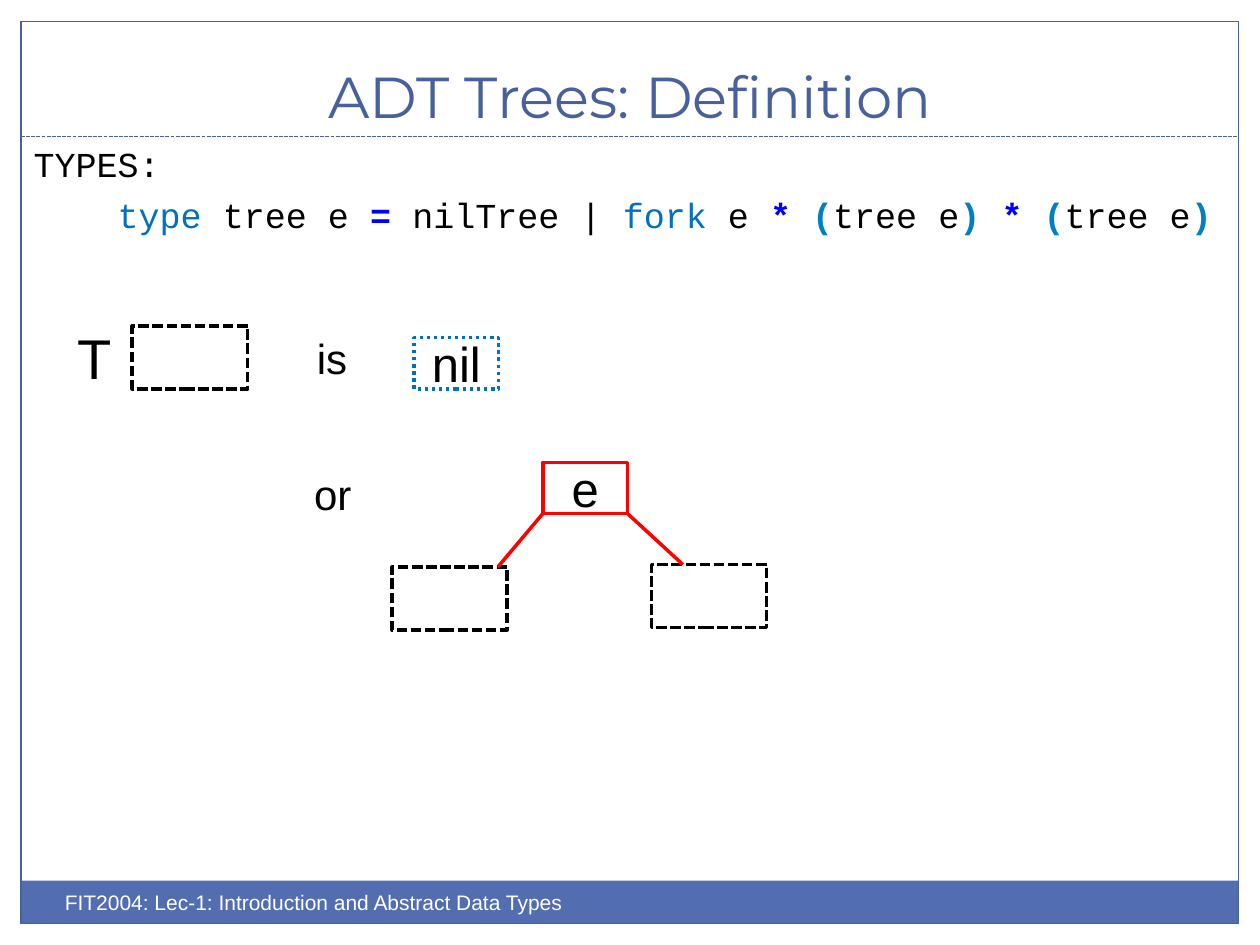
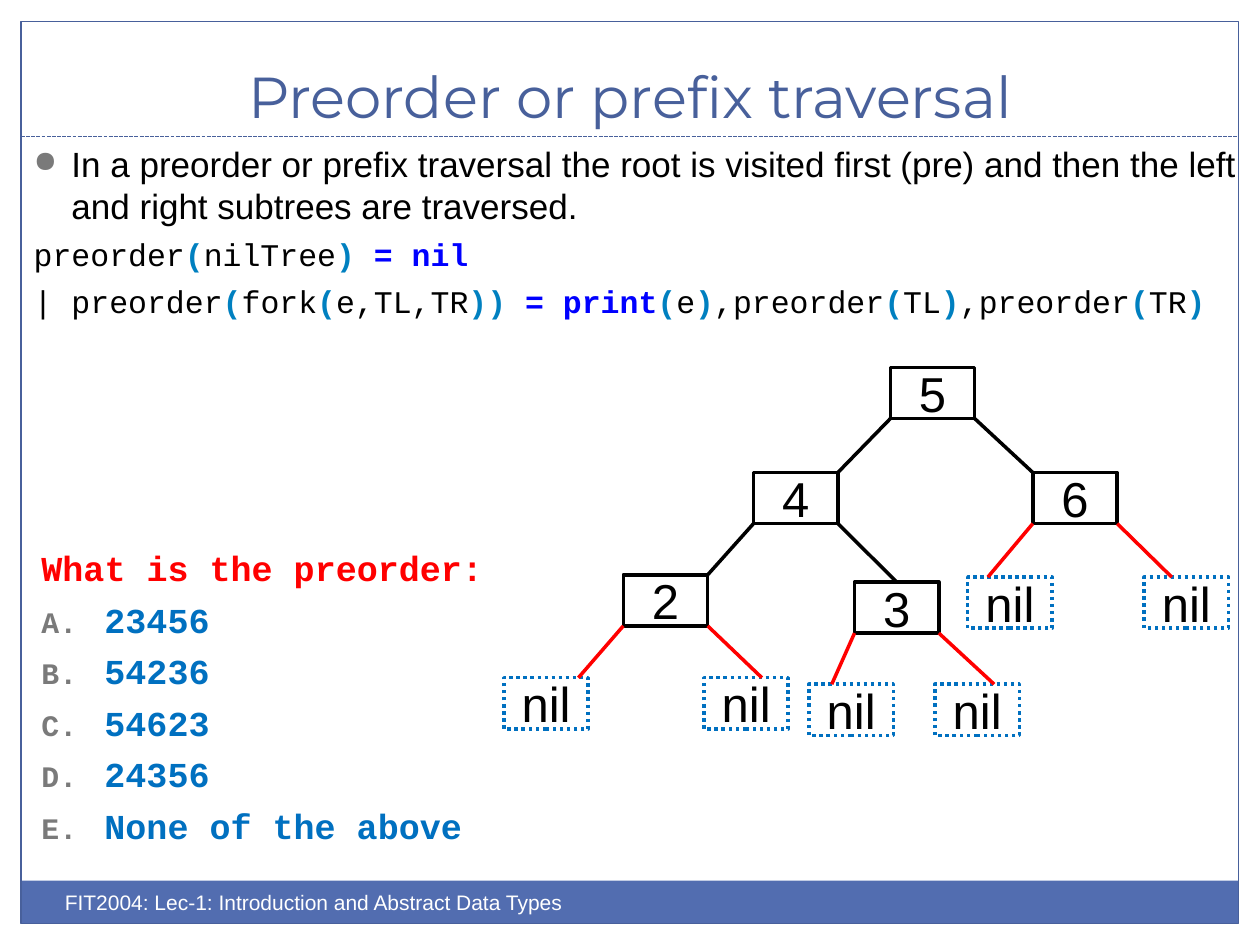
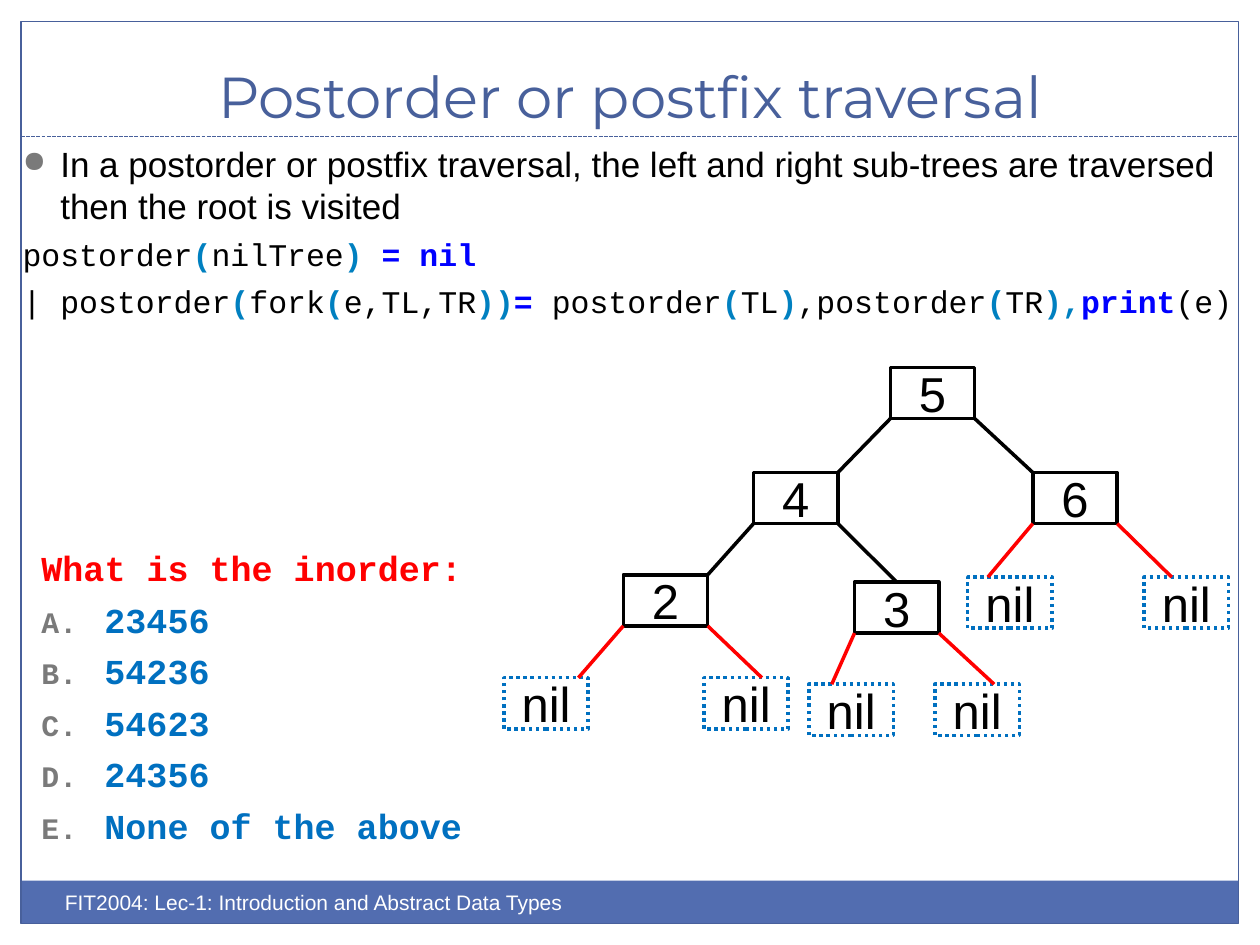
"""Build three lecture slides on tree definitions and traversals."""
import pptx
import pptx.chart.data
import pptx.dml.color
import pptx.enum.dml
import pptx.enum.shapes
import pptx.enum.text
import pptx.oxml.ns
import pptx.util
from lxml import etree

Pt = pptx.util.Pt
DASH = pptx.enum.dml.MSO_LINE
SHAPE = pptx.enum.shapes.MSO_SHAPE
ANCHOR = pptx.enum.text.MSO_ANCHOR
ALIGN = pptx.enum.text.PP_ALIGN

BLACK, WHITE, RED = "000000", "FFFFFF", "FF0000"
INDIGO, BAND, BLUE, GREY = "48609B", "526DB0", "0070C0", "7A7A7A"
FOOTER = "FIT2004: Lec-1: Introduction and Abstract Data Types"

# Markup in code lines: {bracket}, [operator], <keyword>
CODE_STYLES = {"{": ("0080C0", True), "[": ("0000FF", True), "<": (BLUE, False)}

# Outline colour, dash, width and height of each kind of node
NODE_STYLES = {
    "inner": (BLACK, None, 48.2, 29.2),
    "root": (RED, None, 48.2, 29.2),
    "nil": (BLUE, DASH.ROUND_DOT, 48.2, 29.2),
    "subtree": (BLACK, DASH.SQUARE_DOT, 66, 36),
}

# Node: key, label, kind, left, top, parent, side of parent, landing point along the top
DEFINITION_TREE = [
    ("root", "e", "root", 310.3, 264.2, None, None, 0),
    ("left", "", "subtree", 223.9, 324, "root", "left", 60.6),
    ("right", "", "subtree", 372.2, 322.6, "root", "right", 18),
    ("whole", "", "subtree", 75.6, 186.3, None, None, 0),
    ("empty", "nil", "nil", 236.7, 193, None, None, 0),
]
SEARCH_TREE = [
    ("5", "5", "inner", 508.8, 210, None, None, 0),
    ("4", "4", "inner", 430.6, 270, "5", "left", 48.2),
    ("6", "6", "inner", 590.2, 270, "5", "right", 0),
    ("2", "2", "inner", 356.2, 328.5, "4", "left", 48.2),
    ("3", "3", "inner", 488.3, 332.6, "4", "right", 24.1),
    ("2L", "nil", "nil", 288, 387.3, "2", "left", 42.5),
    ("2R", "nil", "nil", 402.3, 387.3, "2", "right", 33.1),
    ("6L", "nil", "nil", 553, 329.8, "6", "left", 11.5),
    ("6R", "nil", "nil", 653.8, 329.8, "6", "right", 15.8),
    ("3L", "nil", "nil", 462.3, 391, "3", "left", 13),
    ("3R", "nil", "nil", 534.3, 391, "3", "right", 33.8),
]
ANSWERS = ["23456", "54236", "54623", "24356", "None of the above"]

SLIDES = [
    {
        "title": "ADT Trees: Definition",
        "body_left": 12.2,
        "code_size": 20,
        "code": [
            ("TYPES:", 0),
            ("<type> tree e [=] nilTree | <fork> e [*] {(}tree e{)} [*] {(}tree e{)}", 48),
        ],
        "tree": DEFINITION_TREE,
        "labels": [("T", 37.4, 181.4, 32), ("is", 174, 186.5, 24), ("or", 172.4, 264.2, 24)],
    },
    {
        "title": "Preorder or prefix traversal",
        "body_left": 12.2,
        "intro": "In a preorder or prefix traversal the root is visited first (pre) "
                 "and then the left and right subtrees are traversed.",
        "code_size": 18,
        "code": [
            ("preorder{(}nilTree{)} [=] [nil]", 0),
            ("| preorder{(}fork{(}e,TL,TR{))} [=] [print]{(}e{)},"
             "preorder{(}TL{)},preorder{(}TR{)}", 0),
        ],
        "tree": SEARCH_TREE,
        "question": "What is the preorder:",
    },
    {
        "title": "Postorder or postfix traversal",
        "body_left": 5.8,
        "intro": "In a postorder or postfix traversal, the left and right sub-trees "
                 "are traversed then the root is visited",
        "code_size": 18,
        "code": [
            ("postorder{(}nilTree{)} [=] [nil]", 0),
            ("| postorder{(}fork{(}e,TL,TR{))}[= ]postorder{(}TL{)},"
             "postorder{(}TR{),}[print](e)", 0),
        ],
        "tree": SEARCH_TREE,
        "question": "What is the inorder:",
    },
]


def rgb(color):
    """Turn a hex string into a colour."""
    return pptx.dml.color.RGBColor.from_string(color)


def set_font(font, name, size, color, bold=False):
    """Set all the font properties in use."""
    font.name, font.size, font.bold = name, Pt(size), bold
    font.color.rgb = rgb(color)


def set_line(line, color, width, dash=None):
    """Set the colour, width and dash of a line."""
    line.color.rgb, line.width = rgb(color), Pt(width)
    if dash is not None:
        line.dash_style = dash


def add_box(slide, left, top, width, height, fill=None, outline=None, weight=2, dash=None):
    """Add a rectangle with an optional fill and outline."""
    box = slide.shapes.add_shape(SHAPE.RECTANGLE, Pt(left), Pt(top), Pt(width), Pt(height))
    box.shadow.inherit = False
    if fill:
        box.fill.solid()
        box.fill.fore_color.rgb = rgb(fill)
    else:
        box.fill.background()
    if outline:
        set_line(box.line, outline, weight, dash)
    else:
        box.line.fill.background()
    return box


def add_line(slide, start, end, color, width, dash=None):
    """Add a straight line without a shadow."""
    line = slide.shapes.add_connector(
        pptx.enum.shapes.MSO_CONNECTOR.STRAIGHT, *map(Pt, start + end))
    set_line(line.line, color, width, dash)
    etree.SubElement(line._element.spPr, pptx.oxml.ns.qn("a:effectLst"))
    return line


def add_text_frame(slide, left, top, width, height):
    """Add a wrapping text box and return its frame."""
    frame = slide.shapes.add_textbox(Pt(left), Pt(top), Pt(width), Pt(height)).text_frame
    frame.word_wrap = True
    return frame


def add_label(slide, text, left, top, width, height, size, color):
    """Add a one-line text."""
    paragraph = add_text_frame(slide, left, top, width, height).paragraphs[0]
    paragraph.text = text
    set_font(paragraph.font, "Arial", size, color)


def next_paragraph(frame, space):
    """Return the still empty first paragraph, or a new one."""
    first = frame.paragraphs[0]
    paragraph = frame.add_paragraph() if first.runs else first
    paragraph.space_before = Pt(space)
    return paragraph


def set_bullet(paragraph, indent, tag, **attributes):
    """Give a paragraph a grey bullet or number with a hanging indent."""
    properties = paragraph._p.get_or_add_pPr()
    properties.set("marL", str(Pt(indent)))
    properties.set("indent", str(-Pt(indent)))
    qn = pptx.oxml.ns.qn
    color = etree.SubElement(properties, qn("a:buClr"))
    etree.SubElement(color, qn("a:srgbClr"), val=GREY)
    etree.SubElement(properties, qn("a:buSzPct"), val="85000")
    etree.SubElement(properties, qn(tag), **attributes)


def split_code(code):
    """Yield each piece of marked-up code with its colour and weight."""
    piece, style = "", (BLACK, False)
    for char in code:
        if char in "{[<}]>":
            if piece:
                yield piece, style
            piece, style = "", CODE_STYLES.get(char, (BLACK, False))
        else:
            piece += char
    if piece:
        yield piece, style


def add_body(slide, content):
    """Add the introduction and the lines of code."""
    frame = add_text_frame(slide, content["body_left"], 77.8, 714, 102)
    if "intro" in content:
        intro = next_paragraph(frame, 5)
        intro.text = content["intro"]
        set_bullet(intro, 21.6, "a:buChar", char="●")
        set_font(intro.font, "Arial", 20, BLACK)
    for code, indent in content["code"]:
        line = next_paragraph(frame, 5)
        line._p.get_or_add_pPr().set("marL", str(Pt(indent)))
        line.font.name, line.font.size = "Courier New", Pt(content["code_size"])
        for piece, (color, bold) in split_code(code):
            run = line.add_run()
            run.text = piece
            run.font.color.rgb, run.font.bold = rgb(color), bold


def add_quiz(slide, question):
    """Add the question and its lettered answers."""
    frame = add_text_frame(slide, 16.6, 308.9, 270, 177)
    for text in [question] + ANSWERS:
        paragraph = next_paragraph(frame, 5.4)
        paragraph.text = text
        if text != question:
            set_bullet(paragraph, 36, "a:buAutoNum", type="alphaUcPeriod")
        color = RED if text == question else BLUE
        set_font(paragraph.font, "Courier New", 20, color, True)


def add_tree(slide, tree):
    """Draw the nodes and the edges from each parent's lower corners."""
    placed = {}
    for key, label, kind, left, top, parent, side, landing in tree:
        color, dash, width, height = NODE_STYLES[kind]
        node = add_box(slide, left, top, width, height, outline=color, dash=dash)
        placed[key] = (left, top, width, height)
        if label:
            node.text_frame.vertical_anchor = ANCHOR.MIDDLE
            paragraph = node.text_frame.paragraphs[0]
            paragraph.text, paragraph.alignment = label, ALIGN.CENTER
            set_font(paragraph.font, "Arial", 28, BLACK)
        if parent:
            x, y, parent_width, parent_height = placed[parent]
            start = (x + (parent_width if side == "right" else 0), y + parent_height)
            edge_color = BLACK if kind == "inner" else RED
            edge = add_line(slide, start, (left + landing, top), edge_color, 2)
            if landing == width / 2:
                edge.end_connect(node, 0)


def add_frame(slide, title):
    """Add the title, border, rule and footer that all slides share."""
    heading = slide.shapes.title
    heading.left, heading.top, heading.width, heading.height = map(Pt, (24, 18, 672, 60))
    heading.text_frame.vertical_anchor = ANCHOR.BOTTOM
    paragraph = heading.text_frame.paragraphs[0]
    paragraph.text, paragraph.alignment = title, ALIGN.CENTER
    set_font(paragraph.font, "Montserrat", 33, INDIGO)
    add_box(slide, 11.8, 503.2, 695.6, 24.5, fill=BAND)
    add_box(slide, 12, 12.2, 695.6, 515.5, outline=INDIGO, weight=0.75)
    add_line(slide, (12, 78), (707.6, 78), INDIGO, 0.75, DASH.SQUARE_DOT)
    add_label(slide, FOOTER, 30, 504.7, 360, 28.8, 12, WHITE)


def main():
    """Build and save the slides."""
    deck = pptx.Presentation()
    deck.slide_width, deck.slide_height = Pt(720), Pt(540)
    for content in SLIDES:
        slide = deck.slides.add_slide(deck.slide_layouts[5])
        add_frame(slide, content["title"])
        add_body(slide, content)
        add_tree(slide, content["tree"])
        for text, left, top, size in content.get("labels", []):
            add_label(slide, text, left, top, 60, 36, size, BLACK)
        if "question" in content:
            add_quiz(slide, content["question"])
    deck.save("out.pptx")


if __name__ == "__main__":
    main()
